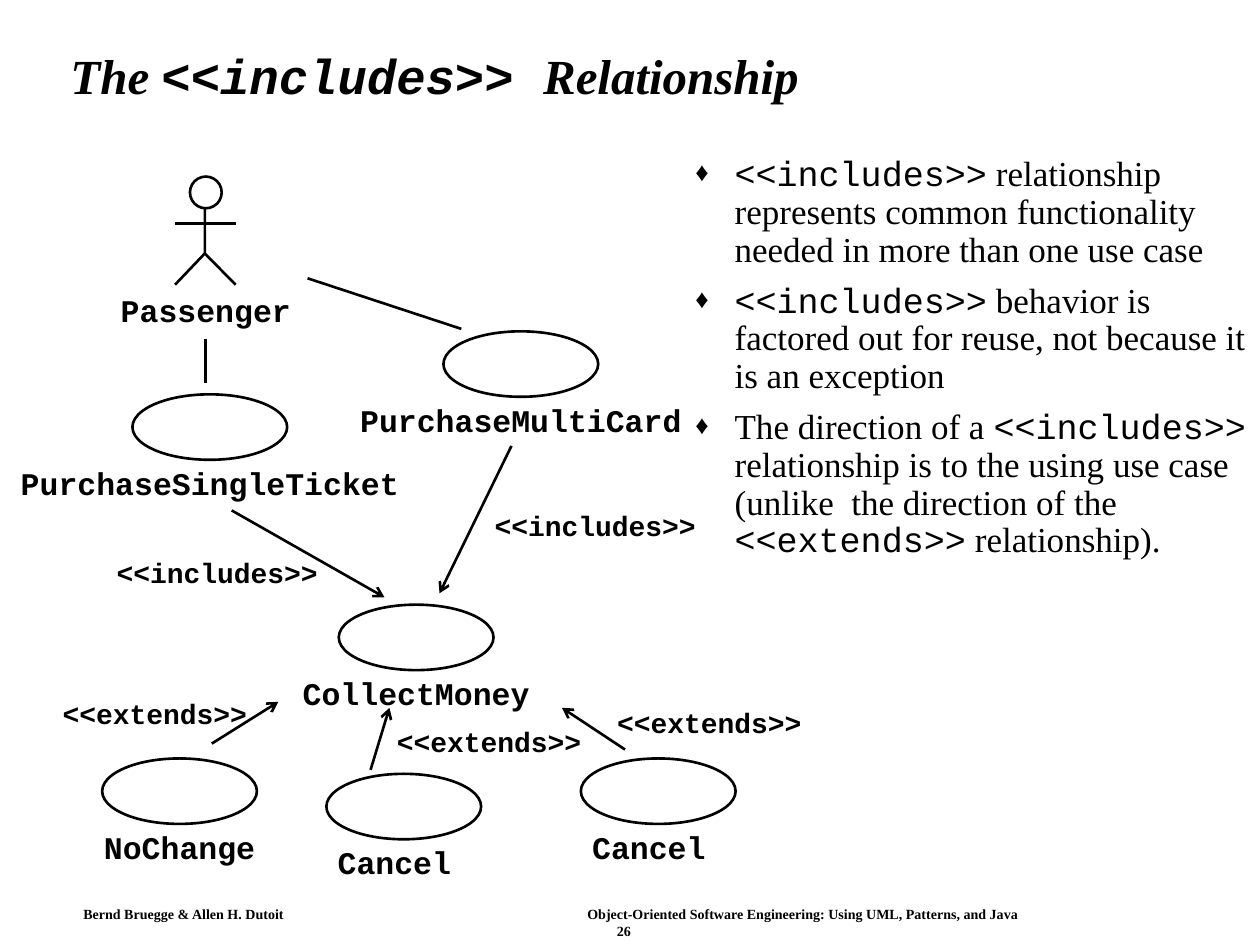
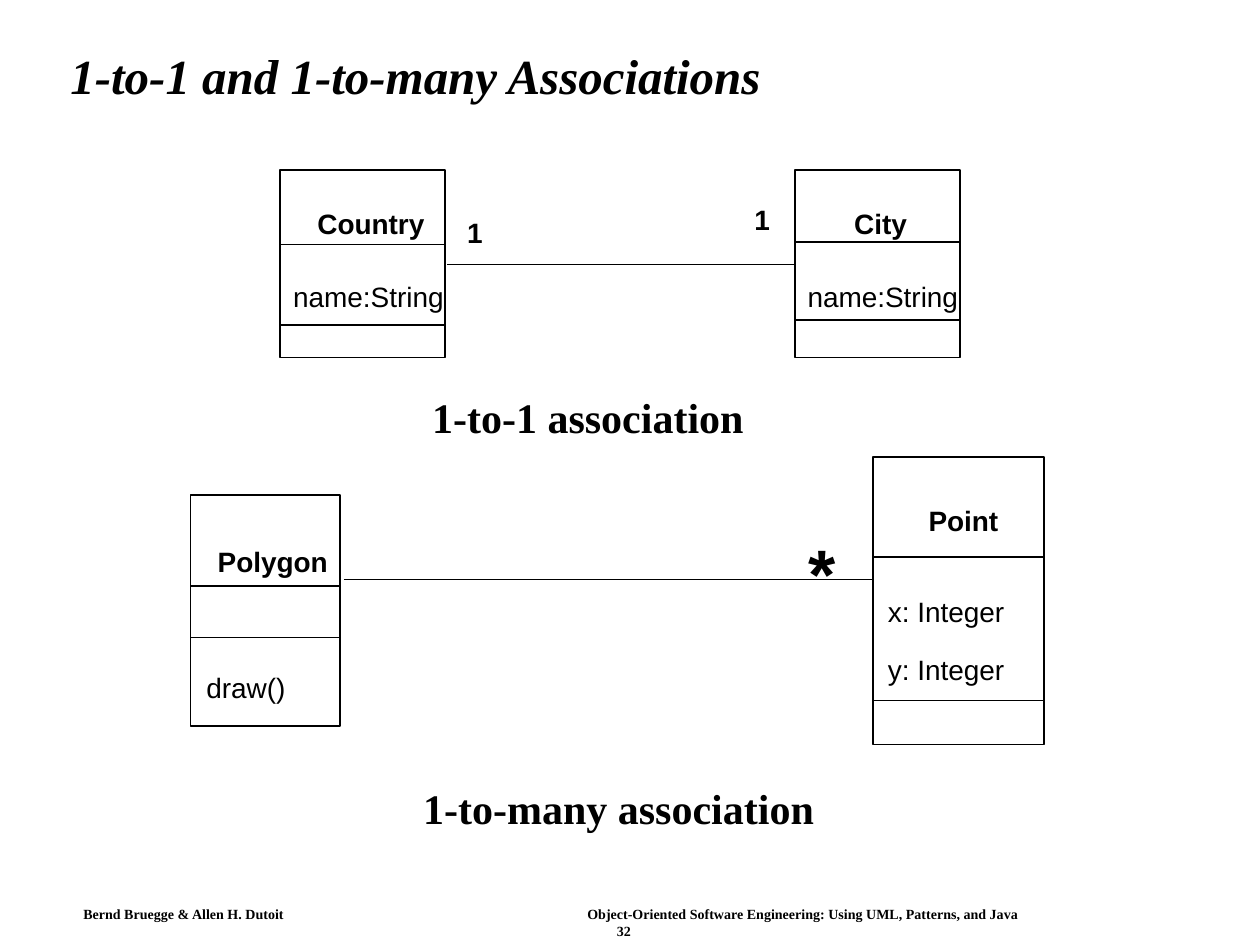
import pptx
import pptx.util
import pptx.dml.color
import pptx.enum.shapes
import pptx.enum.text
import pptx.oxml
import pptx.oxml.ns
from dataclasses import dataclass
from pptx.util import Cm

ALIGN = pptx.enum.text.PP_ALIGN
ANCHOR = pptx.enum.text.MSO_ANCHOR
SHAPE = pptx.enum.shapes.MSO_SHAPE
qn = pptx.oxml.ns.qn


@dataclass(frozen=True)
class Theme:
    ink: str = "000000"
    paper: str = "FFFFFF"
    serif: str = "Times New Roman"
    mono: str = "Courier New"
    sans: str = "Arial"
    title: int = 28
    caption: int = 24
    body: int = 20
    name: int = 18
    label: int = 16
    many: int = 40
    footer: int = 8
    use_case_line: float = 1.5
    class_line: float = 1


T = Theme()

# Text formats
TITLE = dict(name=T.serif, size=T.title, bold=True, italic=True)
TITLE_CODE = dict(TITLE, name=T.mono)
BODY = dict(name=T.serif, size=T.body)
BODY_CODE = dict(BODY, name=T.mono)
CAPTION = dict(name=T.serif, size=T.caption, bold=True)
FOOTER = dict(name=T.serif, size=T.footer, bold=True)
NAME = dict(name=T.mono, size=T.name, bold=True)
STEREOTYPE = dict(name=T.mono, size=T.label, bold=True)
MEMBER = dict(name=T.sans, size=T.label)
CLASS_NAME = dict(MEMBER, bold=True)
MANY = dict(CLASS_NAME, size=T.many)

# Common insets (left and right, top and bottom) and sizes in cm
INSET = (0.25, 0.13)
NO_INSET = (0, 0)
OVAL_W, OVAL_H = 3.12, 1.32
NAME_CHAR_W = 0.38
STEREOTYPE_CHAR_W = 0.34


class Deck:
    def __init__(self, theme):
        self.theme = theme
        self.prs = pptx.Presentation()
        self.prs.slide_width, self.prs.slide_height = Cm(25.4), Cm(19.05)
        self.s = None

    def color(self, value):
        return pptx.dml.color.RGBColor.from_string(value)

    # Text helpers
    def add_run(self, p, text, fmt):
        r = p.add_run()
        r.text = text
        for key, value in fmt.items():
            setattr(r.font, key, pptx.util.Pt(value) if key == "size" else value)
        r.font.color.rgb = self.color(self.theme.ink)

    def set_frame(self, tf, inset, wrap, anchor=ANCHOR.TOP):
        side, end = map(Cm, inset)
        frame = dict(margin_left=side, margin_right=side, margin_top=end,
                     margin_bottom=end, word_wrap=wrap, vertical_anchor=anchor,
                     auto_size=pptx.enum.text.MSO_AUTO_SIZE.NONE)
        for key, value in frame.items():
            setattr(tf, key, value)

    def box(self, x, y, w, h, inset=INSET, wrap=False, anchor=ANCHOR.TOP):
        sp = self.s.shapes.add_textbox(Cm(x), Cm(y), Cm(w), Cm(h))
        self.set_frame(sp.text_frame, inset, wrap, anchor)
        return sp.text_frame

    def text(self, text, x, y, w, h, fmt, align=ALIGN.LEFT, **frame):
        p = self.box(x, y, w, h, **frame).paragraphs[0]
        p.alignment = align
        self.add_run(p, text, fmt)

    # Slide with title and footer
    def slide(self, title_runs, number):
        self.s = self.prs.slides.add_slide(self.prs.slide_layouts[5])
        sp = self.s.shapes.title
        sp.left, sp.top, sp.width, sp.height = map(Cm, (1.17, 0.61, 22.66, 1.96))
        self.set_frame(sp.text_frame, INSET, True, ANCHOR.MIDDLE)
        p = sp.text_frame.paragraphs[0]
        p.alignment, p.line_spacing = ALIGN.LEFT, 0.9
        for text, fmt in title_runs:
            self.add_run(p, text, fmt)
        self.footer(number)

    def footer(self, number):
        tf = self.box(1.48, 18.16, 22.2, 0.84, inset=(0.2, 0.1), wrap=True)
        p = tf.paragraphs[0]
        tabs = p._p.get_or_add_pPr().makeelement(qn("a:tabLst"), {})
        tab = tabs.makeelement(qn("a:tab"), {"pos": str(Cm(10.16)), "algn": "l"})
        tabs.append(tab)
        p._p.get_or_add_pPr().append(tabs)
        self.add_run(p, "Bernd Bruegge & Allen H. Dutoit\tObject-Oriented Software "
                        "Engineering: Using UML, Patterns, and Java", FOOTER)
        p = tf.add_paragraph()
        p.alignment = ALIGN.CENTER
        self.add_run(p, str(number), FOOTER)

    def bullets(self, items, x, y, w, h):
        tf = self.box(x, y, w, h, wrap=True)
        for i, runs in enumerate(items):
            p = tf.add_paragraph() if i else tf.paragraphs[0]
            pPr = p._p.get_or_add_pPr()
            pPr.set("marL", str(Cm(0.79)))
            pPr.set("indent", str(Cm(-0.79)))
            for tag, key, value in (("a:buSzPct", "val", "75000"),
                                    ("a:buFont", "typeface", self.theme.serif),
                                    ("a:buChar", "char", "♦")):
                pPr.append(pPr.makeelement(qn(tag), {key: value}))
            p.line_spacing = 0.9
            p.space_before = pptx.util.Pt(7.5 if i else 0)
            for text, fmt in runs:
                self.add_run(p, text, fmt)

    # Drawing
    def outline(self, sp, weight, fill=None):
        sp.shadow.inherit = False
        if fill:
            sp.fill.solid()
            sp.fill.fore_color.rgb = self.color(fill)
        else:
            sp.fill.background()
        sp.line.color.rgb = self.color(self.theme.ink)
        sp.line.width = pptx.util.Pt(weight)

    def shape(self, kind, x, y, w, h, weight, fill=None):
        sp = self.s.shapes.add_shape(kind, Cm(x), Cm(y), Cm(w), Cm(h))
        self.outline(sp, weight, fill)

    def line(self, x1, y1, x2, y2, weight, arrow=False):
        sp = self.s.shapes.add_connector(pptx.enum.shapes.MSO_CONNECTOR.STRAIGHT,
                                         Cm(x1), Cm(y1), Cm(x2), Cm(y2))
        sp.line.color.rgb = self.color(self.theme.ink)
        sp.line.width = pptx.util.Pt(weight)
        if arrow:
            ln = sp.line._get_or_add_ln()
            ln.append(ln.makeelement(qn("a:tailEnd"), {"type": "arrow"}))
        spPr = sp._element.spPr
        spPr.append(spPr.makeelement(qn("a:effectLst"), {}))

    # UML elements
    def name(self, text, cx, y):
        w = len(text) * NAME_CHAR_W
        self.text(text, cx - w / 2, y, w, 0.76, NAME, ALIGN.CENTER, inset=NO_INSET)

    def actor(self, text, cx, y):
        weight = self.theme.use_case_line
        neck, arms, hip, feet = y + 0.45, y + 0.94, y + 1.55, y + 2.18
        fb = self.s.shapes.build_freeform(Cm(cx), Cm(neck))
        fb.add_line_segments([(Cm(cx), Cm(hip)), (Cm(cx - 0.6), Cm(feet))], close=False)
        self.outline(fb.convert_to_shape(), weight)
        self.line(cx, hip, cx + 0.62, feet, weight)
        self.line(cx - 0.6, arms, cx + 0.62, arms, weight)
        self.shape(SHAPE.OVAL, cx - 0.3, y, 0.64, 0.64, weight, self.theme.paper)
        self.name(text, cx + 0.02, y + 2.31)

    def use_case(self, text, cx, y, shift=0):
        self.shape(SHAPE.OVAL, cx - OVAL_W / 2, y, OVAL_W, OVAL_H,
                   self.theme.use_case_line)
        self.name(text, cx + shift, y + 1.4)

    def dependency(self, kind, ends, cx, cy):
        self.line(*ends, self.theme.use_case_line, arrow=True)
        text = f"<<{kind}>>"
        w = len(text) * STEREOTYPE_CHAR_W
        self.text(text, cx - w / 2, cy - 0.47, w, 0.94, STEREOTYPE, ALIGN.CENTER,
                  inset=NO_INSET, anchor=ANCHOR.MIDDLE)

    def uml_class(self, x, y, w, h, dividers, labels):
        self.shape(SHAPE.RECTANGLE, x, y, w, h, self.theme.class_line)
        for level in dividers:
            self.line(x, level, x + w, level, self.theme.class_line)
        for i, (text, left, top, width) in enumerate(labels):
            self.text(text, left, top, width, 0.91, MEMBER if i else CLASS_NAME)


def includes_slide(deck):
    deck.slide([("The ", TITLE), ("<<includes>> ", TITLE_CODE),
                ("Relationship", TITLE)], 26)
    inc, ext = ("<<includes>>", BODY_CODE), ("<<extends>>", BODY_CODE)
    deck.bullets([
        [inc, (" relationship represents common functionality needed in more "
               "than one use case", BODY)],
        [inc, (" behavior is factored out for reuse, not because it is an "
               "exception", BODY)],
        [("The direction of a ", BODY), inc,
         (" relationship is to the using use case (unlike  the direction of the ", BODY),
         ext, (" relationship).", BODY)],
    ], 13.77, 3.02, 11.63, 13.34)

    # Actor, use cases and associations
    deck.actor("Passenger", 4.13, 3.56)
    for case in (("PurchaseSingleTicket", 4.23, 7.95), ("PurchaseMultiCard", 10.5, 6.68),
                 ("CollectMoney", 8.39, 12.19), ("NoChange", 3.62, 15.29),
                 ("Cancel", 13.27, 15.29, -0.19), ("Cancel", 8.14, 15.6, -0.19)):
        deck.use_case(*case)
    for ends in ((4.14, 6.83, 4.14, 7.72), (6.2, 5.61, 9.3, 6.63)):
        deck.line(*ends, T.use_case_line)

    # Dependencies
    for kind, ends, cx, cy in (
            ("includes", (10.31, 8.99, 8.86, 11.96), 12, 10.6),
            ("includes", (4.67, 10.29, 7.75, 12.04), 4.38, 11.54),
            ("extends", (4.27, 14.99, 5.61, 14.15), 3.12, 14.39),
            ("extends", (12.6, 15.11, 11.33, 14.27), 14.3, 14.57),
            ("extends", (7.47, 15.52, 7.85, 14.27), 9.86, 14.95)):
        deck.dependency(kind, ends, cx, cy)


def associations_slide(deck):
    deck.slide([("1-to-1 and 1-to-many Associations", TITLE)], 32)
    deck.text("1-to-1 association", 8.46, 7.77, 6.78, 1.27, CAPTION)
    deck.text("1-to-many association", 8.28, 15.65, 8.38, 1.27, CAPTION)

    # One country, one capital city
    deck.uml_class(5.64, 3.43, 3.33, 3.78, (4.93, 6.55), (
        ("Country", 6.15, 4.04, 2.67), ("name:String", 5.66, 5.51, 3.53)))
    deck.uml_class(16.03, 3.43, 3.33, 3.78, (4.88, 6.45), (
        ("City", 16.97, 4.04, 1.57), ("name:String", 16.03, 5.51, 3.53)))
    deck.line(9.02, 5.33, 16.03, 5.33, T.class_line)
    for x, y in ((9.17, 4.22), (14.96, 3.96)):
        deck.text("1", x, y, 0.81, 0.91, CLASS_NAME)

    # One polygon, many points
    deck.uml_class(3.84, 9.98, 3.02, 4.65, (11.81, 12.85), (
        ("Polygon", 4.14, 10.85, 2.72), ("draw()", 3.91, 13.39, 2.11)))
    deck.uml_class(17.6, 9.22, 3.45, 5.79, (11.23, 14.12), (
        ("Point", 18.47, 10.03, 1.9), ("x: Integer", 17.65, 11.86, 2.84),
        ("y: Integer", 17.65, 13.03, 2.84)))
    deck.line(6.93, 11.68, 17.6, 11.68, T.class_line)
    deck.text("*", 16.05, 10.54, 1.04, 1.93, MANY)


def main():
    deck = Deck(T)
    includes_slide(deck)
    associations_slide(deck)
    deck.prs.save("out.pptx")


if __name__ == "__main__":
    main()
